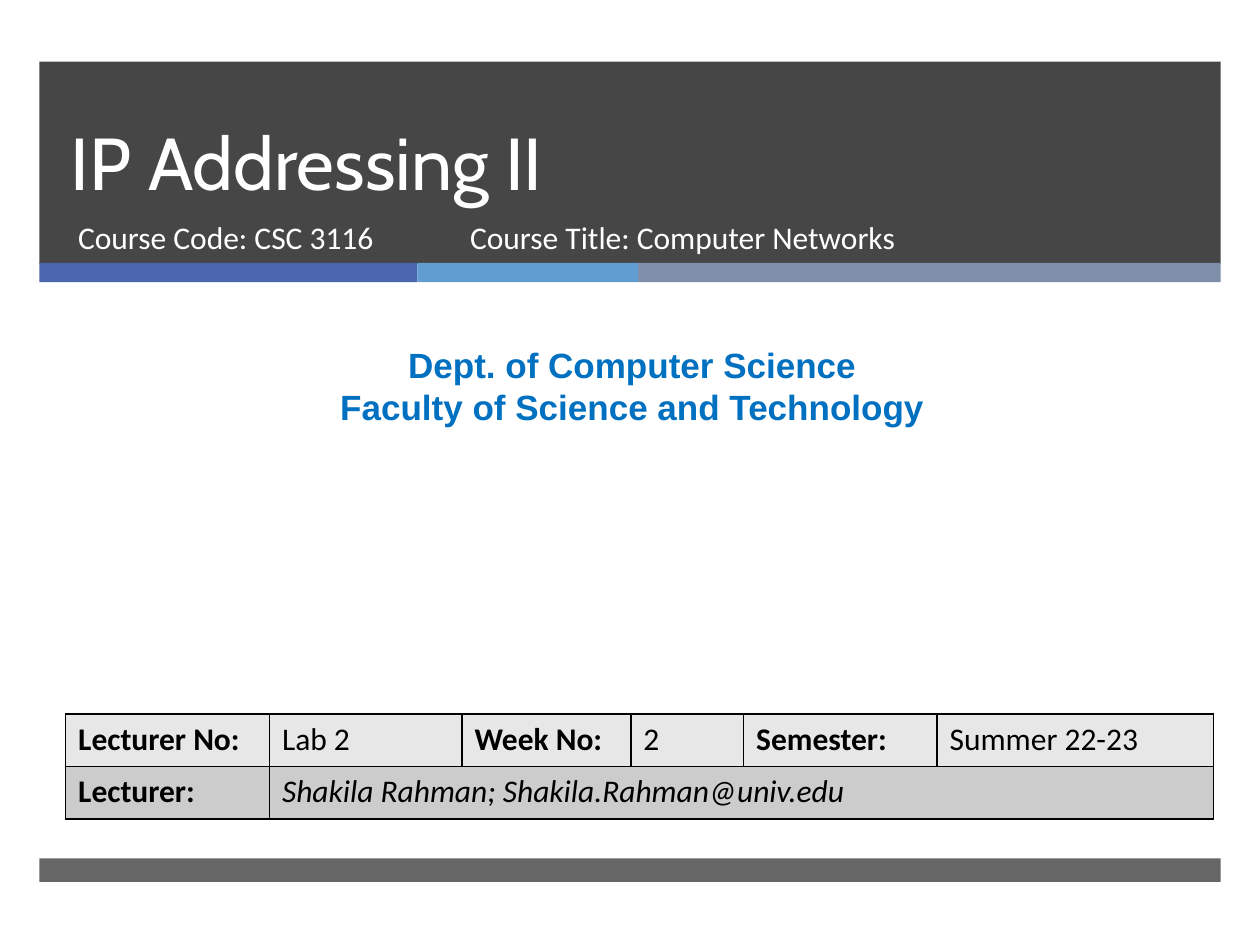
from lxml.etree import SubElement
from pptx import Presentation
from pptx.dml.color import RGBColor
from pptx.enum.shapes import MSO_SHAPE as Shape
from pptx.enum.text import MSO_ANCHOR as Anchor, PP_ALIGN as Align
from pptx.oxml import parse_xml
from pptx.oxml.ns import nsdecls, qn
from pptx.util import Pt

COLORS = {
    "band": "262626", "blue": "4A66AC", "sky": "629DD1", "slate": "7F8FA9",
    "white": "FFFFFF", "black": "000000", "department": "0070C0",
    "light_row": "E7E7E7", "dark_row": "CCCCCC",
}


def color(name):
    return RGBColor.from_string(COLORS[name])


def write_text(frame, text, size=18, font="Calibri", fill="white", bold=False,
               italic=False, align=Align.LEFT, anchor=Anchor.TOP, spacing=None):
    """Fill a text frame, one paragraph for each line of text."""
    frame.word_wrap = True
    frame.vertical_anchor = anchor
    for index, line in enumerate(text.split("\n")):
        paragraph = frame.add_paragraph() if index else frame.paragraphs[0]
        paragraph.alignment = align
        if spacing:
            paragraph.line_spacing = Pt(spacing)
        run = paragraph.add_run()
        run.text = line
        run.font.size = Pt(size)
        run.font.name = font
        run.font.bold = bold
        run.font.italic = italic
        run.font.color.rgb = color(fill)


def add_text(slide, left, top, width, height, text, **text_format):
    box = slide.shapes.add_textbox(Pt(left), Pt(top), Pt(width), Pt(height))
    write_text(box.text_frame, text, **text_format)


def add_bar(slide, left, top, width, height, fill, opacity=100):
    shape = slide.shapes.add_shape(Shape.RECTANGLE, Pt(left), Pt(top), Pt(width), Pt(height))
    shape.shadow.inherit = False
    shape.line.fill.background()
    shape.fill.solid()
    shape.fill.fore_color.rgb = color(fill)
    if opacity < 100:
        rgb = shape._element.spPr.find(qn("a:solidFill")).find(qn("a:srgbClr"))
        SubElement(rgb, qn("a:alpha")).set("val", str(opacity * 1000))


def add_header(slide, left, top, width, height):
    add_bar(slide, left, top, width, height, "band", opacity=85)
    stripe_left = left
    for fill, share in (("blue", 0.32), ("sky", 0.187), ("slate", 0.493)):
        add_bar(slide, stripe_left, top + height - 0.5, width * share, 11, fill)
        stripe_left += width * share
    add_text(slide, left + 11, top, 615, 85.5, "IP Addressing II", size=42,
             font="Cabin", anchor=Anchor.BOTTOM, spacing=46)
    add_text(slide, left + 15, top + 85.5, 220, 38, "Course Code: CSC 3116")
    add_text(slide, left + 239, top + 86, 328, 38, "Course Title: Computer Networks")


def add_department(slide, left, top, width, height):
    add_text(slide, left, top, width, height,
             "Dept. of Computer Science\nFaculty of Science and Technology",
             size=20, font="Arial", fill="department", bold=True, align=Align.CENTER)


def style_cell(cell, fill):
    cell.fill.solid()
    cell.fill.fore_color.rgb = color(fill)
    properties = cell._tc.get_or_add_tcPr()
    for index, side in enumerate(("lnL", "lnR", "lnT", "lnB")):
        properties.insert(index, parse_xml(
            f'<a:{side} {nsdecls("a")} w="12700"><a:solidFill>'
            f'<a:srgbClr val="{COLORS["black"]}"/></a:solidFill></a:{side}>'))


def add_lecture_table(slide, left, top, column_widths, row_height):
    rows = [
        ["Lecturer No:", "Lab 2", "Week No:", "2", "Semester:", "Summer 22-23"],
        ["Lecturer:", "Shakila Rahman; Shakila.Rahman@univ.edu"],
    ]
    table = slide.shapes.add_table(
        len(rows), len(column_widths), Pt(left), Pt(top),
        Pt(sum(column_widths)), Pt(row_height * len(rows))).table
    for column, width in zip(table.columns, column_widths):
        column.width = Pt(width)
    for row, fill in zip(table.rows, ("light_row", "dark_row")):
        row.height = Pt(row_height)
        for cell in row.cells:
            style_cell(cell, fill)
    table.cell(1, 1).merge(table.cell(1, len(column_widths) - 1))
    for row_index, texts in enumerate(rows):
        for column_index, text in enumerate(texts):
            is_label = column_index % 2 == 0
            write_text(table.cell(row_index, column_index).text_frame, text,
                       fill="black", bold=is_label,
                       italic=row_index == 1 and not is_label)


def main():
    presentation = Presentation()
    presentation.slide_width, presentation.slide_height = Pt(720), Pt(540)
    slide = presentation.slides.add_slide(presentation.slide_layouts[6])
    add_header(slide, 22.5, 35.25, 675, 115.5)
    add_bar(slide, 22.5, 490.5, 675, 13.5, "band", opacity=70)
    add_department(slide, 6, 193, 710.5, 55.5)
    add_lecture_table(slide, 37.5, 408, [116.5, 110, 96.5, 64.5, 110.5, 158], 30)
    presentation.save("out.pptx")


if __name__ == "__main__":
    main()
